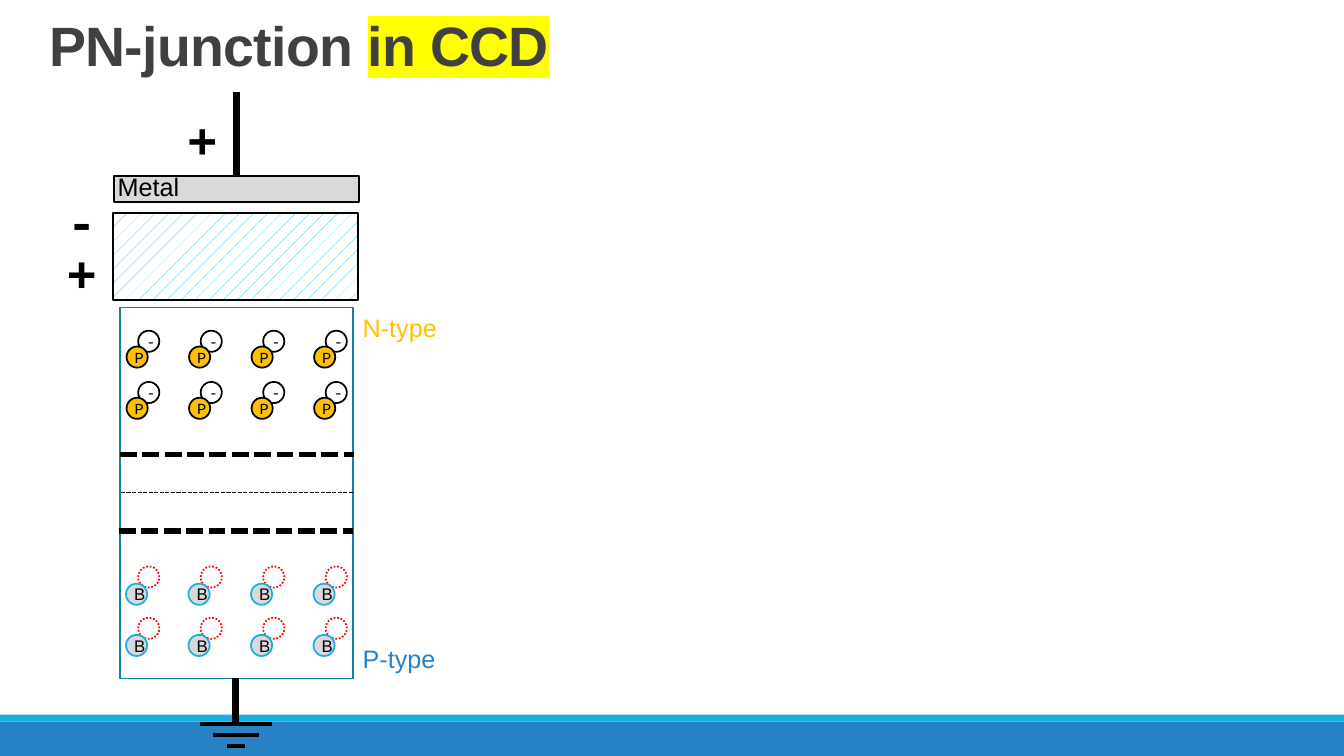
from dataclasses import dataclass
from itertools import product

from lxml.etree import SubElement
from pptx import Presentation
from pptx.dml.color import RGBColor
from pptx.enum.dml import MSO_LINE, MSO_PATTERN
from pptx.enum.shapes import MSO_CONNECTOR, MSO_SHAPE
from pptx.enum.text import MSO_ANCHOR, PP_ALIGN
from pptx.oxml.ns import qn
from pptx.util import Pt


@dataclass(frozen=True)
class Theme:
    black: str = "000000"
    white: str = "FFFFFF"
    title: str = "404040"
    highlight: str = "FFFF00"
    blue: str = "2683C6"
    cyan: str = "1CADE4"
    frame: str = "1580A9"
    gold: str = "FFC000"
    grey: str = "D9D9D9"
    red: str = "FF0000"
    sans: str = "Arial"
    mono: str = "Courier New"
    title_size: float = 39.6
    sign_size: float = 36
    label_size: float = 18
    acceptor_size: float = 12
    donor_size: float = 11
    outline: float = 1.25
    wire: float = 5
    plate: float = 3
    depletion: float = 4


THEME = Theme()
ATOM = 15.1
PITCH_X, PITCH_Y = 44.65, 36.6


def rgb(code):
    return RGBColor.from_string(code)


def add_span(para, text, size, color, font=THEME.sans, bold=False):
    span = para.add_run()
    span.text = text
    span.font.size = Pt(size)
    span.font.name = font
    span.font.bold = bold
    span.font.color.rgb = rgb(color)
    return span


def add_box(shapes, kind, at, fill=None, line=None, dash=None):
    box = shapes.add_shape(kind, *map(Pt, at))
    box.shadow.inherit = False
    if fill:
        box.fill.solid()
        box.fill.fore_color.rgb = rgb(fill)
    else:
        box.fill.background()
    if line:
        box.line.color.rgb = rgb(line)
        box.line.width = Pt(THEME.outline)
        if dash:
            box.line.dash_style = dash
    else:
        box.line.fill.background()
    return box


def add_line(shapes, start, end, width, dash=None):
    line = shapes.add_connector(MSO_CONNECTOR.STRAIGHT, *map(Pt, start + end))
    line.line.color.rgb = rgb(THEME.black)
    line.line.width = Pt(width)
    if dash:
        line.line.dash_style = dash
    SubElement(line._element.spPr, qn("a:effectLst"))


def add_text_box(shapes, at):
    box = shapes.add_textbox(*map(Pt, at))
    box.text_frame.word_wrap = True
    return box


def add_label(shapes, at, text, color):
    box = add_text_box(shapes, at)
    add_span(box.text_frame.paragraphs[0], text, THEME.label_size, color)


def add_sign(shapes, left, top, text, align=PP_ALIGN.CENTER, rotation=0):
    box = add_text_box(shapes, (left, top, 54.7, 51.1))
    box.rotation = rotation
    para = box.text_frame.paragraphs[0]
    para.alignment = align
    add_span(para, text, THEME.sign_size, THEME.black, THEME.mono, True)


def add_atoms(shapes, left, top, line, fill=None, dash=None,
              text="", size=THEME.donor_size, font=THEME.mono):
    """Lay out two rows of four circles."""
    for row, column in product(range(2), range(4)):
        at = (left + column * PITCH_X, top + row * PITCH_Y, ATOM, ATOM)
        atom = add_box(shapes, MSO_SHAPE.OVAL, at, fill, line, dash)
        if text:
            atom.text_frame.vertical_anchor = MSO_ANCHOR.MIDDLE
            para = atom.text_frame.paragraphs[0]
            para.alignment = PP_ALIGN.CENTER
            add_span(para, text, size, THEME.black, font)


def add_title(shapes):
    box = add_text_box(shapes, (28.1, 7.9, 905, 51.1))
    box.text_frame.vertical_anchor = MSO_ANCHOR.BOTTOM
    para = box.text_frame.paragraphs[0]
    para.line_spacing = 0.85
    spans = [add_span(para, text, THEME.title_size, THEME.title, bold=True)
             for text in ("PN-junction ", "in CCD")]
    for span in spans:
        span.font._element.set("spc", "-50")
    # Highlight belongs between the fill and the typeface
    props = spans[1].font._element
    mark = SubElement(props, qn("a:highlight"))
    SubElement(mark, qn("a:srgbClr"), val=THEME.highlight)
    props.find(qn("a:latin")).addprevious(mark)


def add_silicon(shapes):
    left, right = 85.7, 252
    add_box(shapes, MSO_SHAPE.RECTANGLE, (left, 219.6, right - left, 265),
            line=THEME.frame)
    add_label(shapes, (right, 455.8, 74.2, 28.8), "P-type", THEME.blue)
    add_label(shapes, (right, 219.6, 90.7, 28.8), "N-type", THEME.gold)

    # Junction and edges of the depletion zone
    for start, end, y, width in ((right, left, 352, 1),
                                 (left, right + 0.7, 324.6, THEME.depletion),
                                 (left - 0.7, right, 379.4, THEME.depletion)):
        add_line(shapes, (start, y), (end, y), width, MSO_LINE.SQUARE_DOT)

    # Holes and acceptors, then electrons and donors
    add_atoms(shapes, 98.7, 404.6, THEME.red, dash=MSO_LINE.ROUND_DOT)
    add_atoms(shapes, 90, 416.9, THEME.cyan, THEME.grey, text="B",
              size=THEME.acceptor_size, font=THEME.sans)
    add_atoms(shapes, 98.7, 236.2, THEME.black, text="-")
    add_atoms(shapes, 90.4, 247.5, THEME.black, THEME.gold, text="P")


def add_gate(shapes):
    add_sign(shapes, 115.2, 67, "+", PP_ALIGN.LEFT, 270)
    add_line(shapes, (169, 125.3), (169, 65.5), THEME.wire)
    metal = add_box(shapes, MSO_SHAPE.RECTANGLE, (159.8, 47.5, 18.7, 175),
                    THEME.grey, THEME.black)
    add_label(shapes, (77, 118.8, 59.8, 28.8), "Metal", THEME.black)
    oxide = add_box(shapes, MSO_SHAPE.RECTANGLE, (137.5, 95.8, 61.9, 175),
                    line=THEME.black)
    oxide.fill.patterned()
    oxide.fill.pattern = MSO_PATTERN.PERCENT_5
    oxide.fill.fore_color.rgb = rgb(THEME.cyan)
    oxide.fill.back_color.rgb = rgb(THEME.white)
    for layer in (metal, oxide):
        layer.rotation = 270
    add_sign(shapes, 31, 132.5, "-")
    add_sign(shapes, 31, 169.2, "+")


def add_ground(shapes):
    center = 168.5
    add_line(shapes, (center, 517), (center, 484.6), THEME.wire)
    for step, half in enumerate((25.6, 16.6, 6.5)):
        y = 517 + step * 7.9
        add_line(shapes, (center - half, y), (center + half, y), THEME.plate)


def main():
    deck = Presentation()
    deck.slide_width, deck.slide_height = Pt(960), Pt(540)
    page = deck.slides.add_slide(deck.slide_layouts[6])

    # Footer bands
    for top, height, color in ((515.5, 24.5, THEME.blue), (510.5, 5, THEME.cyan)):
        add_box(page.shapes, MSO_SHAPE.RECTANGLE, (0, top, 960, height), color)

    # Title and the three parts of the device
    add_title(page.shapes)
    for add_part in (add_silicon, add_gate, add_ground):
        add_part(page.shapes.add_group_shape().shapes)
    deck.save("out.pptx")


if __name__ == "__main__":
    main()
